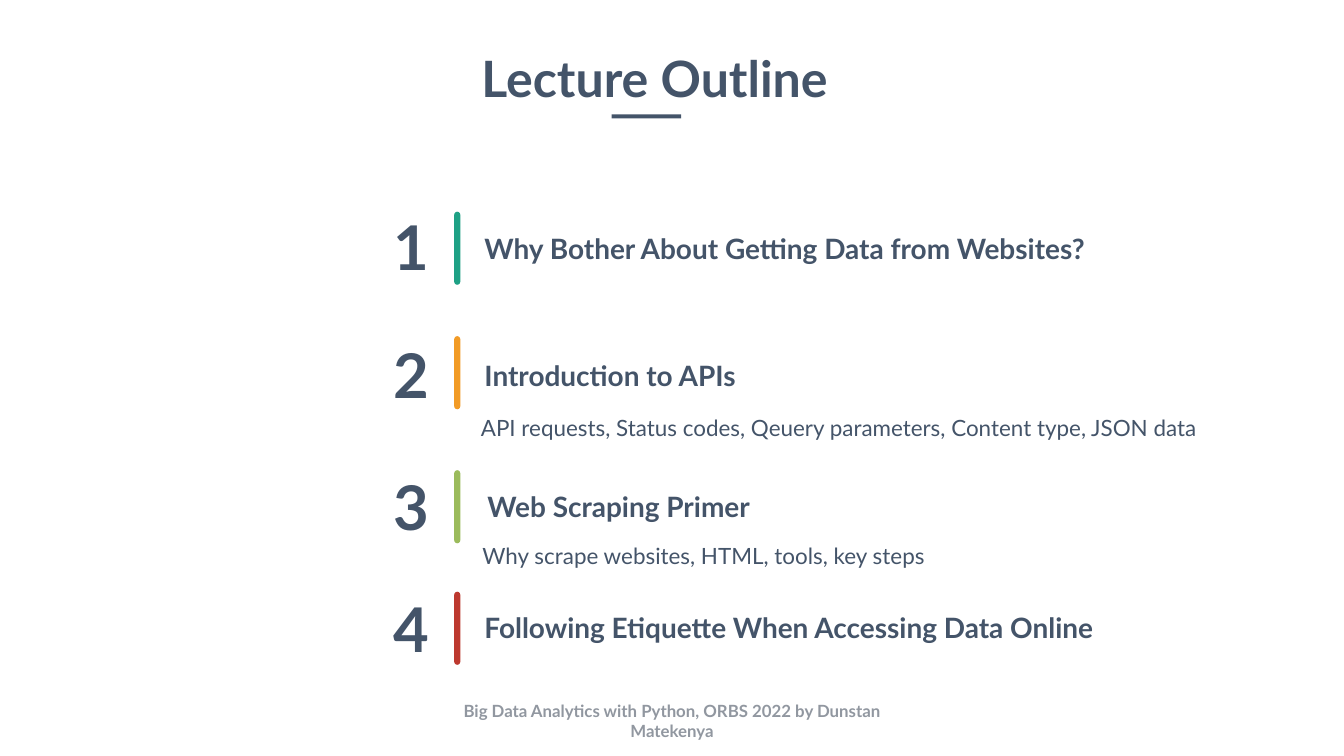
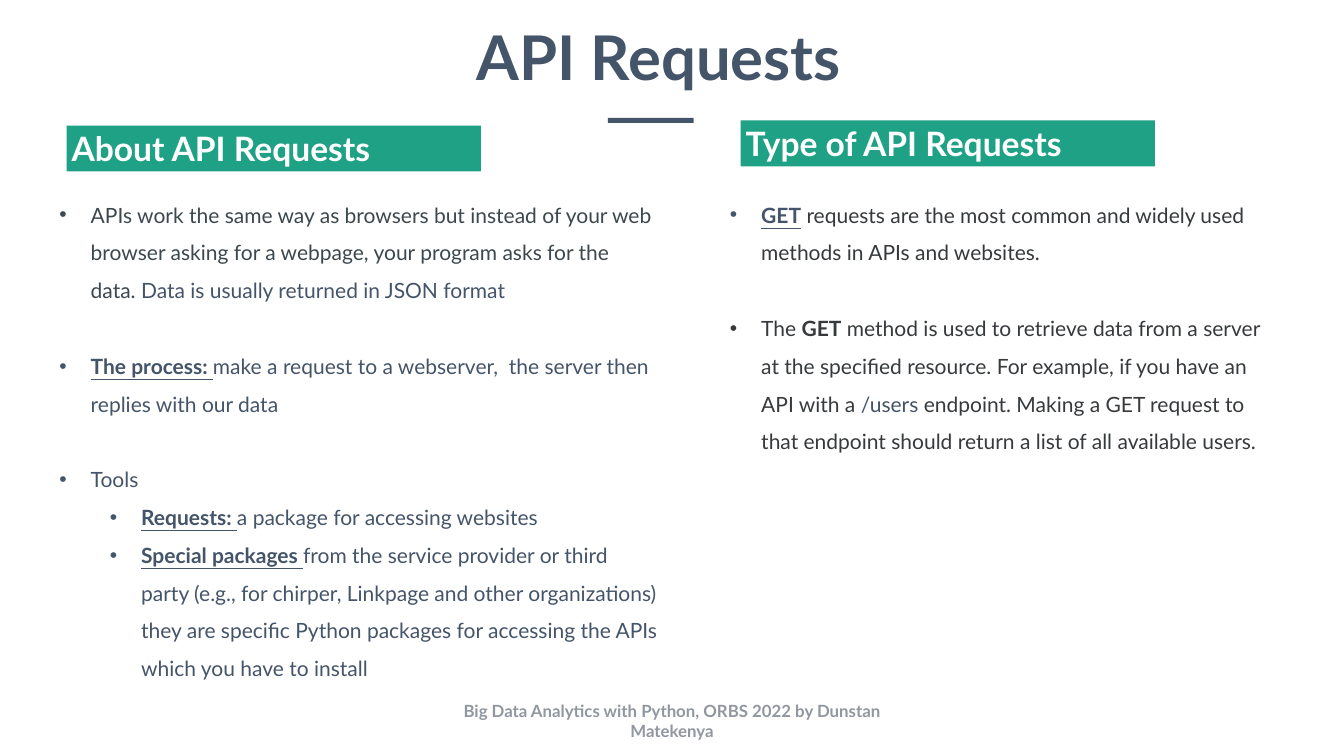
from dataclasses import dataclass

from lxml.etree import SubElement
from pptx import Presentation
from pptx.dml.color import RGBColor
from pptx.enum.shapes import MSO_SHAPE
from pptx.enum.text import MSO_ANCHOR, MSO_AUTO_SIZE, PP_ALIGN
from pptx.oxml.ns import qn
from pptx.util import Inches, Pt


@dataclass(frozen=True)
class Theme:
    font: str = "Lato"
    navy: str = "445469"
    slate: str = "3C484E"
    charcoal: str = "373A3C"
    grey: str = "9197A0"
    white: str = "FFFFFF"
    teal: str = "1EA185"
    orange: str = "F29B26"
    green: str = "9BBB5C"
    red: str = "BD392F"
    outline_title: float = 71.5
    display: int = 88
    band: int = 48
    heading: int = 40
    detail: int = 32
    body: int = 30
    footer: int = 24


THEME = Theme()
FOOTER = "Big Data Analytics with Python, ORBS 2022 by Dunstan Matekenya"
WIDE = (0.2, 0.1)
NORMAL = (0.1, 0.05)
TIGHT = (0.08, 0.04)
TITLE_ONLY, TWO_CONTENT = 5, 3
BULLET_LINE = 1.5
BULLET_GAP = 54

OUTLINE = [
    ("1", THEME.teal, 4.2, 4.05, (9.41, 4.49, 12.6),
     "Why Bother About Getting Data from Websites?"),
    ("2", THEME.orange, 6.67, 6.58, (9.41, 7.02, 5.47), "Introduction to APIs"),
    ("3", THEME.green, 9.33, 9.21, (9.47, 9.61, 5.71), "Web Scraping Primer"),
    ("4", THEME.red, 11.74, 11.62, (9.41, 12.02, 12.73),
     "Following Etiquette When Accessing Data Online"),
]

DETAILS = [
    ((9.44, 8.16, 16.08, 0.64),
     "API requests, Status codes, Qeuery parameters, Content type, JSON data"),
    ((9.47, 10.7, 10.73, 0.64), "Why scrape websites, HTML, tools, key steps"),
]

ABOUT = [
    (0, 0, THEME.slate, [
        ("APIs work the same way as browsers but instead of your web browser "
         "asking for a webpage, your program asks for the data. ", THEME.slate, ""),
        ("Data is usually returned in JSON format", THEME.navy, "")]),
    (0, BULLET_GAP, THEME.navy, [
        ("The process: ", THEME.navy, "bu"),
        ("make a request to a webserver,  the server then replies with our data",
         THEME.navy, "")]),
    (0, BULLET_GAP, THEME.navy, [("Tools", THEME.navy, "")]),
    (1, 0, THEME.navy, [
        ("Requests: ", THEME.navy, "bu"),
        ("a package for accessing websites", THEME.navy, "")]),
    (1, 0, THEME.navy, [
        ("Special packages ", THEME.navy, "bu"),
        ("from the service provider or third party (e.g., for chirper, Linkpage "
         "and other organizations) they are specific Python packages for "
         "accessing the APIs which you have to install", THEME.navy, "")]),
]

TYPES = [
    (0, 0, THEME.navy, [
        ("GET", THEME.navy, "bu"),
        (" requests are the most common and widely used methods in APIs and "
         "websites.", THEME.charcoal, "")]),
    (0, BULLET_GAP, THEME.charcoal, [
        ("The ", THEME.charcoal, ""),
        ("GET", THEME.charcoal, "b"),
        (" method is used to retrieve data from a server at the specified "
         "resource. For example, if you have an API with a ", THEME.charcoal, ""),
        ("/users ", THEME.navy, ""),
        ("endpoint. Making a GET request to that endpoint should return a list "
         "of all available users.", THEME.charcoal, "")]),
]


class Deck:
    def __init__(self, theme):
        self.theme = theme
        self.prs = Presentation()
        self.prs.slide_width = Inches(26.66)
        self.prs.slide_height = Inches(15)
        self.s = None

    def slide(self, layout):
        self.s = self.prs.slides.add_slide(self.prs.slide_layouts[layout])

    def place(self, sp, box):
        sp.left, sp.top, sp.width, sp.height = map(Inches, box)

    def frame(self, sp, insets, anchor=MSO_ANCHOR.TOP):
        tf = sp.text_frame
        tf.word_wrap = True
        tf.auto_size = MSO_AUTO_SIZE.NONE
        tf.vertical_anchor = anchor
        tf.margin_left = tf.margin_right = Inches(insets[0])
        tf.margin_top = tf.margin_bottom = Inches(insets[1])
        return tf

    def style(self, r, size, color, bold=False, underline=False):
        r.font.name = self.theme.font
        r.font.size = Pt(size)
        r.font.color.rgb = RGBColor.from_string(color)
        r.font.bold = bold
        r.font.underline = underline

    def set_text(self, sp, text, size, color, bold=True, align=PP_ALIGN.LEFT,
                 insets=NORMAL, anchor=MSO_ANCHOR.TOP):
        tf = self.frame(sp, insets, anchor)
        tf.text = text
        p = tf.paragraphs[0]
        p.alignment = align
        self.style(p.runs[0], size, color, bold)

    def title(self, text, box, size, insets=NORMAL):
        sp = self.s.shapes.title
        self.place(sp, box)
        self.set_text(sp, text, size, self.theme.navy, align=PP_ALIGN.CENTER,
                      insets=insets)

    def label(self, text, box, size, color=None, **options):
        sp = self.s.shapes.add_textbox(*map(Inches, box))
        self.set_text(sp, text, size, color or self.theme.navy, **options)

    def shape(self, box, color, kind=MSO_SHAPE.RECTANGLE):
        sp = self.s.shapes.add_shape(kind, *map(Inches, box))
        sp.shadow.inherit = False
        sp.fill.solid()
        sp.fill.fore_color.rgb = RGBColor.from_string(color)
        sp.line.fill.background()
        return sp

    def bar(self, box, color):
        sp = self.shape(box, color, MSO_SHAPE.ROUND_2_SAME_RECTANGLE)
        sp.adjustments[0] = sp.adjustments[1] = 0.5

    def band(self, text, left, top):
        sp = self.shape((left, top, 8.22, 0.91), self.theme.teal)
        self.set_text(sp, text, self.theme.band, self.theme.white)

    def bullets(self, idx, box, items):
        sp = self.s.placeholders[idx]
        self.place(sp, box)
        tf = self.frame(sp, NORMAL)
        for i, (level, gap, color, runs) in enumerate(items):
            p = tf.add_paragraph() if i else tf.paragraphs[0]
            p.level = level
            p.line_spacing = BULLET_LINE
            p.space_before = Pt(gap)
            self.bullet(p, level, color)
            for text, run_color, marks in runs:
                r = p.add_run()
                r.text = text
                self.style(r, self.theme.body, run_color, "b" in marks, "u" in marks)

    def bullet(self, p, level, color):
        pPr = p._p.get_or_add_pPr()
        pPr.set("marL", str(Inches(0.62 + level)))
        pPr.set("indent", str(Inches(-0.62)))
        SubElement(SubElement(pPr, qn("a:buClr")), qn("a:srgbClr")).set("val", color)
        SubElement(pPr, qn("a:buFont")).set("typeface", "Arial")
        SubElement(pPr, qn("a:buChar")).set("char", "•")

    def footer(self):
        self.label(FOOTER, (8.83, 13.9, 9, 0.8), self.theme.footer, self.theme.grey,
                   align=PP_ALIGN.CENTER, insets=WIDE, anchor=MSO_ANCHOR.MIDDLE)


def outline_slide(deck):
    t = deck.theme
    deck.slide(TITLE_ONLY)
    deck.title("Lecture Outline", (9.41, 0.9, 7.15, 1.29), t.outline_title, TIGHT)
    deck.shape((12.13, 2.27, 1.38, 0.08), t.navy)
    for number, color, bar_top, number_top, (left, top, width), heading in OUTLINE:
        deck.bar((9.01, bar_top, 0.12, 1.45), color)
        deck.label(number, (7.6, number_top, 1.12, 1.68), t.display,
                   align=PP_ALIGN.RIGHT, insets=WIDE)
        deck.label(heading, (left, top, width, 0.88), t.heading, insets=WIDE)
    for box, text in DETAILS:
        deck.label(text, box, t.detail, bold=False)
    deck.footer()


def requests_slide(deck):
    t = deck.theme
    deck.slide(TWO_CONTENT)
    deck.title("API Requests", (9.3, 0.32, 7.54, 3.06), t.display)
    deck.shape((12.06, 2.34, 1.7, 0.1), t.navy)
    deck.bullets(1, (1.08, 3.71, 12.08, 10.6), ABOUT)
    deck.band("About API Requests", 1.32, 2.49)
    deck.band("Type of API Requests", 14.69, 2.39)
    deck.bullets(2, (14.38, 3.71, 10.83, 5.3), TYPES)
    deck.footer()


def main():
    deck = Deck(THEME)
    outline_slide(deck)
    requests_slide(deck)
    deck.prs.save("out.pptx")


if __name__ == "__main__":
    main()
